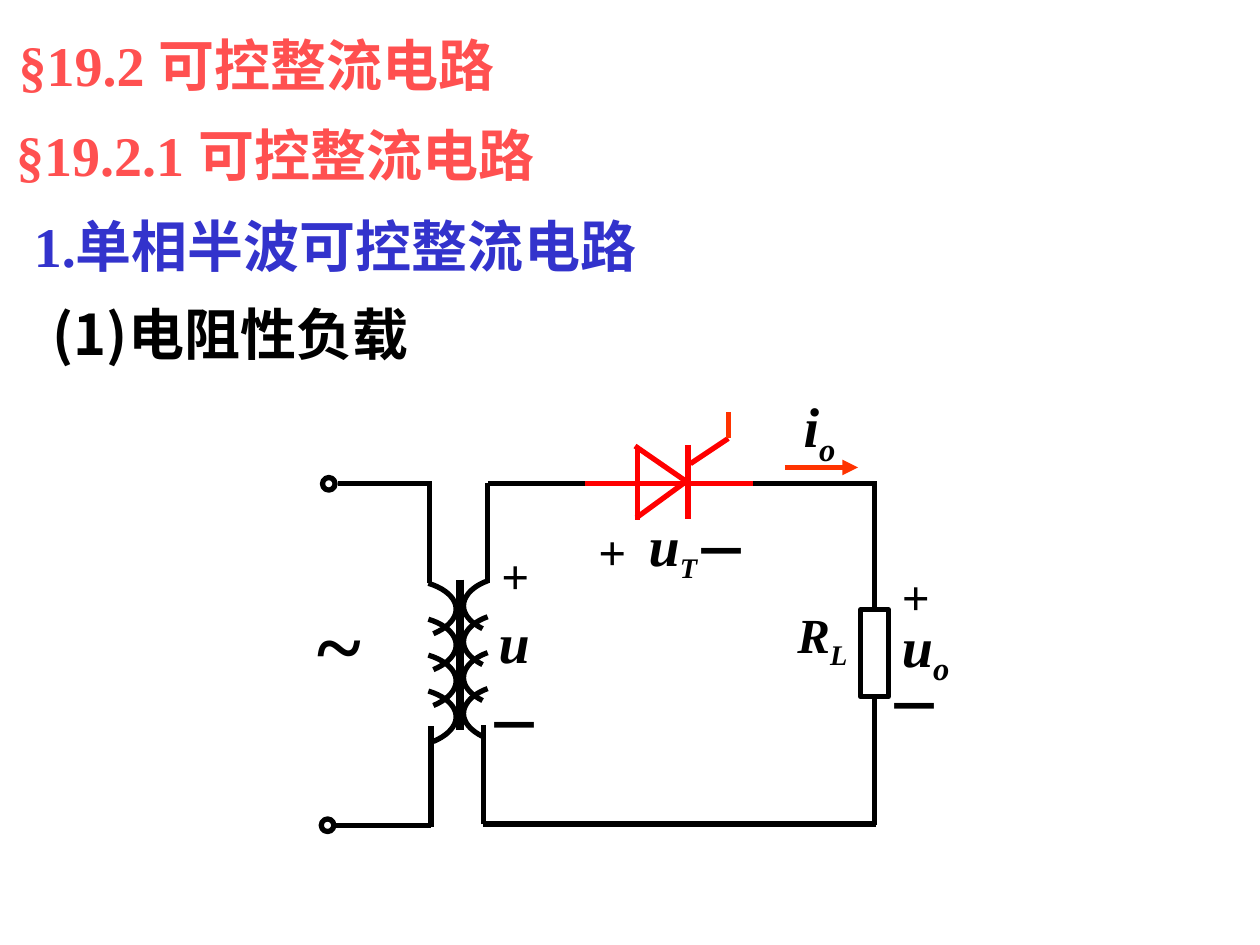
from dataclasses import dataclass

from lxml import etree
from pptx import Presentation
from pptx import util as u
from pptx.dml.color import RGBColor
from pptx.enum import shapes, text
from pptx.oxml.ns import qn


@dataclass(frozen=True)
class Theme:
    latin: str = "Times New Roman"
    east_asian: str = "Noto Sans CJK SC"
    black: str = "000000"
    white: str = "FFFFFF"
    coral: str = "FF5050"
    blue: str = "3333CC"
    red: str = "FF0000"
    orange: str = "FF3300"
    heading: int = 32
    label: int = 28
    source: int = 48
    wire: float = 3
    core: float = 4.5


class CircuitSlide:
    """Draws on one page; lengths are columns and rows of a 100 x 75 grid."""

    COLUMNS, ROWS = 100, 75

    def __init__(self, deck, theme):
        self.theme = theme
        self.column = deck.slide_width / self.COLUMNS
        self.row = deck.slide_height / self.ROWS
        self.page = deck.slides.add_slide(deck.slide_layouts[6])

    def place(self, x, y):
        return u.Emu(round(x * self.column)), u.Emu(round(y * self.row))

    def stroke(self, line, colour=None, width=None):
        line.color.rgb = RGBColor.from_string(colour or self.theme.black)
        line.width = u.Pt(width or self.theme.wire)

    def text(self, x, y, width, height, *runs, size=None, colour=None,
             italic=False, wrap=False):
        """Each run is a string or a (string, changes) pair."""
        box = self.page.shapes.add_textbox(*self.place(x, y), *self.place(width, height))
        frame = box.text_frame
        frame.word_wrap = wrap
        frame.auto_size = text.MSO_AUTO_SIZE.SHAPE_TO_FIT_TEXT
        para = frame.paragraphs[0]
        for run in runs:
            words, changes = (run, {}) if isinstance(run, str) else run
            span = para.add_run()
            span.text = words
            font = span.font
            font.name = changes.get("font", self.theme.latin)
            font.size = u.Pt(changes.get("size", size or self.theme.heading))
            font.bold, font.italic = True, italic
            font.color.rgb = RGBColor.from_string(colour or self.theme.black)
            properties = span._r.get_or_add_rPr()
            etree.SubElement(properties, qn("a:ea")).set("typeface", self.theme.east_asian)
            if changes.get("subscript"):
                properties.set("baseline", "-25000")

    def wire(self, start, end, colour=None, width=None, arrow=False,
             begin=None, finish=None):
        line = self.page.shapes.add_connector(
            shapes.MSO_CONNECTOR.STRAIGHT, *self.place(*start), *self.place(*end))
        self.stroke(line.line, colour, width)
        if begin:
            line.begin_connect(*begin)
        if finish:
            line.end_connect(*finish)
        if arrow:
            etree.SubElement(line.line._get_or_add_ln(), qn("a:tailEnd")).set("type", "triangle")
        etree.SubElement(line._element.spPr, qn("a:effectLst"))

    def shape(self, kind, x, y, width, height, fill=None):
        shape = self.page.shapes.add_shape(kind, *self.place(x, y), *self.place(width, height))
        self.finish(shape, fill)
        return shape

    def finish(self, shape, fill=None):
        shape.shadow.inherit = False
        if fill:
            shape.fill.solid()
            shape.fill.fore_color.rgb = RGBColor.from_string(fill)
        else:
            shape.fill.background()
        self.stroke(shape.line)

    def curve(self, x, y, beziers, steps=10):
        """Draws joined cubic curves whose points are offsets from (x, y)."""
        points, start = [], (0, 0)
        for first, second, end in beziers:
            for step in range(1, steps + 1):
                t = step / steps
                weights = ((1 - t) ** 3, 3 * t * (1 - t) ** 2, 3 * t * t * (1 - t), t ** 3)
                dx, dy = (sum(w * p[axis] for w, p in zip(weights, (start, first, second, end)))
                          for axis in (0, 1))
                points.append(self.place(x + dx, y + dy))
            start = end
        builder = self.page.shapes.build_freeform(*self.place(x, y))
        builder.add_line_segments(points, close=False)
        self.finish(builder.convert_to_shape())


def main():
    deck = Presentation()
    deck.slide_width, deck.slide_height = u.Inches(10), u.Inches(7.5)
    theme = Theme()
    slide = CircuitSlide(deck, theme)
    subscript = {"subscript": True}

    # Headings
    slide.text(0.5, 1.9, 45.9, 6.4, "§19.2 可控整流电路", colour=theme.coral, wrap=True)
    slide.text(0.3, 9.1, 52.5, 6.4, "§19.2.1 可控整流电路", colour=theme.coral, wrap=True)
    slide.text(1.7, 16.3, 51.7, 6.4, "1.单相半波可控整流电路", colour=theme.blue, wrap=True)
    slide.text(3.2, 23.3, 37, 6.4, ("(1)", {"font": theme.east_asian}), "电阻性负载", wrap=True)

    # Primary and secondary wires
    for start, end in (
        ((26.8, 38.4), (34.3, 38.4)), ((34.1, 46.3), (34.1, 38.3)),
        ((26.6, 65.5), (34.2, 65.5)), ((34.2, 65.6), (34.2, 57.6)),
        ((38.7, 46.3), (38.7, 38.3)), ((46.4, 38.4), (38.7, 38.4)),
        ((38.4, 65.4), (38.4, 57.5)), ((38.3, 65.4), (69.5, 65.4)),
        ((59.5, 38.4), (69.3, 38.4)),
    ):
        slide.wire(start, end)

    # Input terminals
    for x, y in ((25.6, 37.9), (25.5, 65)):
        slide.shape(shapes.MSO_SHAPE.OVAL, x, y, 1, 1)

    # Transformer: four bulges a side around the core
    left_bulge = (((1.3, 0.4), (2.1, 1.1), (2.2, 1.9)), ((2.3, 2.7), (1.6, 3.5), (0.4, 4)))
    right_bulge = (((-1.1, 0.4), (-1.8, 1.1), (-1.9, 1.8)), ((-2, 2.6), (-1.4, 3.3), (-0.4, 3.8)))
    for turn in range(4):
        slide.curve(34, 46.3 + 2.85 * turn, left_bulge)
        slide.curve(38.7, 46.1 + 2.85 * turn, right_bulge)
    slide.wire((36.5, 46), (36.5, 57.9), width=theme.core)

    # Load resistor, joined to the wires above and below
    resistor = slide.shape(shapes.MSO_SHAPE.RECTANGLE, 68.3, 48.4, 2.2, 6.9, theme.white)
    slide.wire((69.4, 38.2), (69.4, 48.4), finish=(resistor, 0))
    slide.wire((69.4, 55.3), (69.4, 65.5), begin=(resistor, 2))

    # Thyristor with its gate
    for start, end in (
        ((50.6, 35.4), (50.6, 41.3)), ((50.4, 35.4), (54.6, 38.3)),
        ((54.6, 35.3), (54.6, 41.2)), ((54.8, 36.8), (57.8, 34.8)),
        ((46.4, 38.4), (59.8, 38.4)), ((50.5, 41.1), (54.2, 38.4)),
    ):
        slide.wire(start, end, theme.red)
    slide.wire((57.8, 34.8), (57.8, 32.7), theme.orange)

    # Output current arrow
    slide.wire((62.3, 37.1), (68.1, 37.1), theme.orange, arrow=True)

    # Quantities
    slide.text(24.2, 46.5, 5.4, 9, "~", size=theme.source)
    slide.text(38.6, 47.7, 4.5, 6.4, "u", italic=True)
    slide.text(50.5, 40, 7, 6.9, "u", ("T", {"size": theme.label, **subscript}),
               italic=True, wrap=True)
    slide.text(70.6, 48, 6.7, 7.1, "u", ("o", subscript), italic=True, wrap=True)
    slide.text(62.3, 47.5, 6.2, 6.3, "R", ("L", subscript), size=theme.label,
               italic=True, wrap=True)
    slide.text(62.8, 30.6, 4.5, 7.1, "i", ("o", subscript), italic=True)

    # Polarity signs
    for x, y in ((38.8, 42.8), (46.5, 40.9), (70.6, 44.5)):
        slide.text(x, y, 4.2, 5.7, "+", size=theme.label)
    for x, y in ((37.6, 54.3), (54.1, 40.5), (69.4, 52.8)):
        slide.text(x, y, 6.4, 6.4, "－")

    deck.save("out.pptx")


if __name__ == "__main__":
    main()
